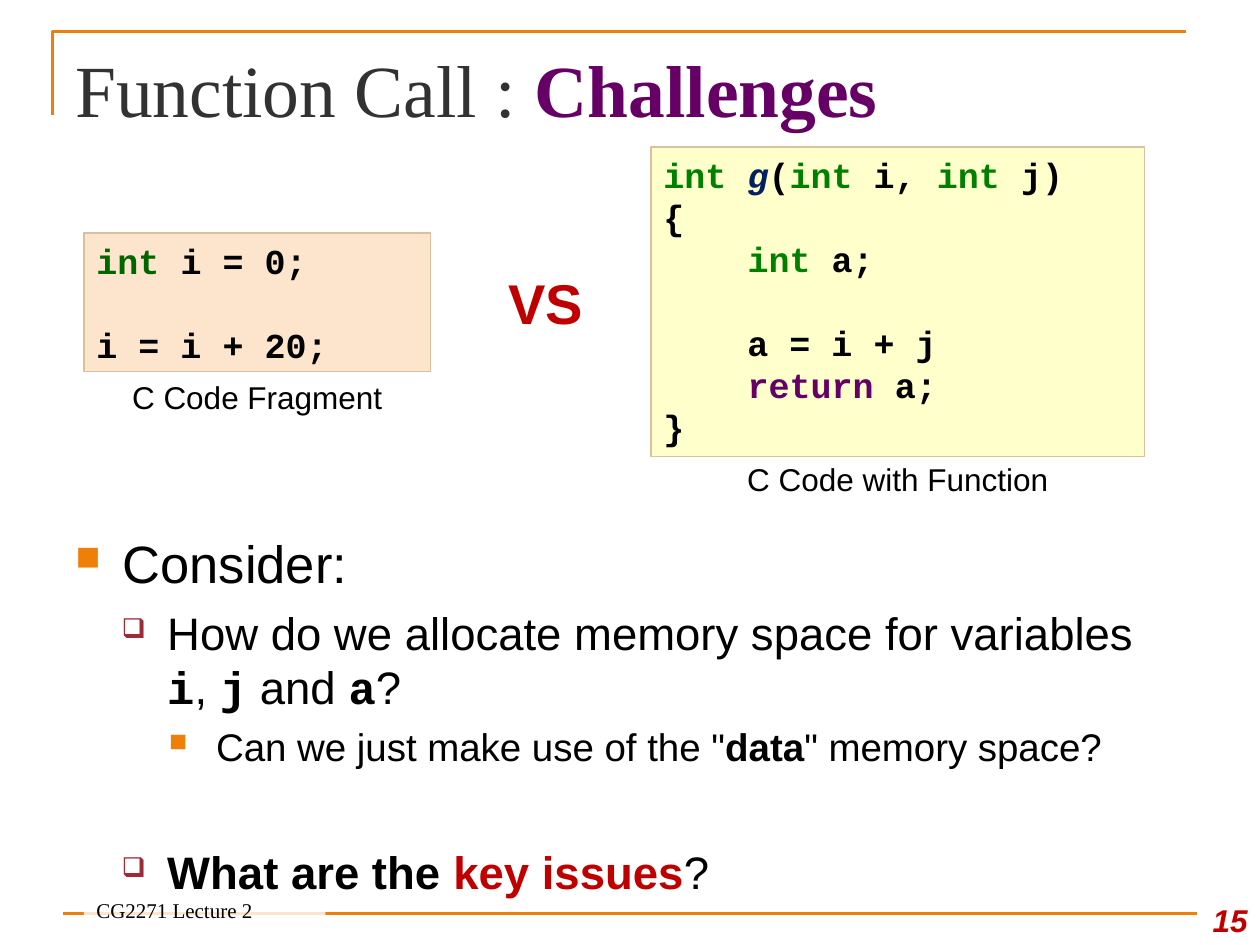
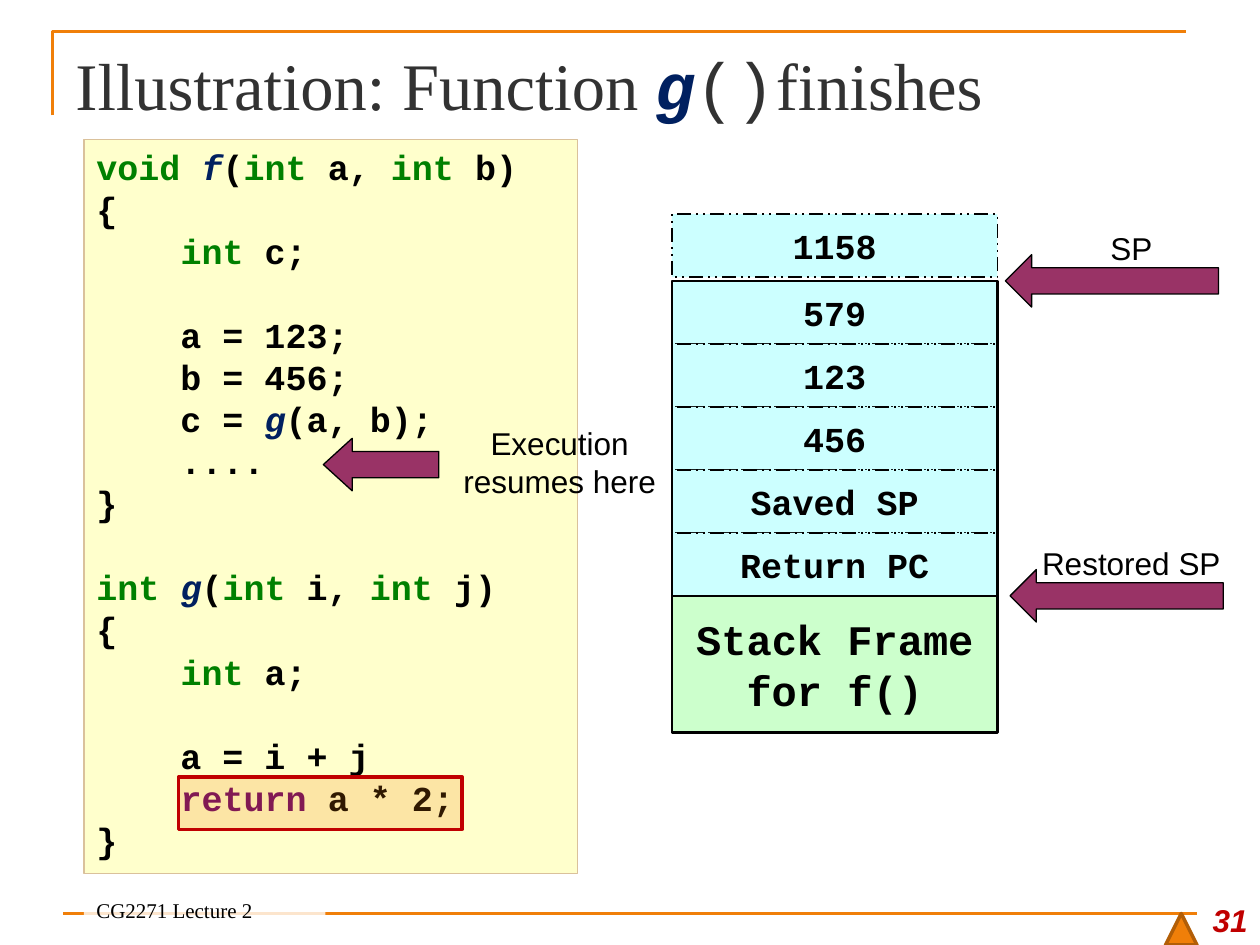
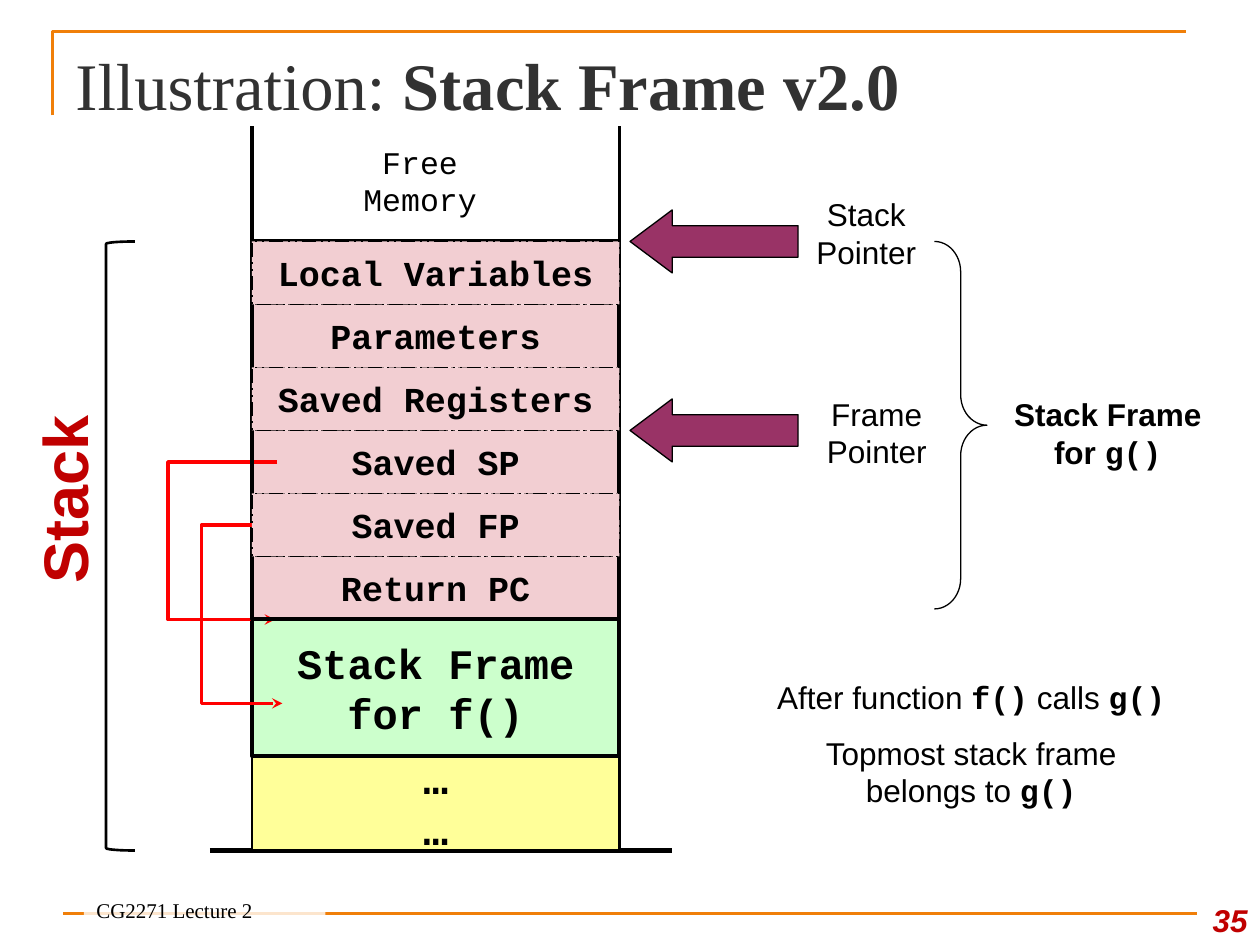
from dataclasses import dataclass
from typing import NamedTuple

from lxml.etree import SubElement
from pptx import Presentation
from pptx.dml.color import RGBColor
from pptx.enum.dml import MSO_LINE
from pptx.enum.shapes import MSO_CONNECTOR, MSO_SHAPE
from pptx.enum.text import MSO_ANCHOR, PP_ALIGN
from pptx.oxml.ns import qn
from pptx.util import Emu, Pt

COLUMNS, ROWS = 120, 90
UNIT = 76200  # one grid step is a twelfth of an inch

ORANGE, RED, BLACK, WHITE = "F07F09", "C00000", "000000", "FFFFFF"
CRIMSON, PURPLE, NAVY, GREEN = "9F2936", "660066", "002060", "008000"
TAN, CREAM, PEACH, PLUM = "DAC19B", "FFFFCC", "FDE5CD", "993366"
SKY, MINT, PINK, YELLOW = "CCFFFF", "CCFFCC", "F2CED2", "FFFF99"

MONO = {"name": "Courier New", "bold": True}
BOLD = {"bold": True}
TITLE = {"name": "Times New Roman", "color": "323232"}
LABEL = {"name": "Arial", "size": 18, "color": BLACK}
CODE = {**MONO, "size": 20, "color": BLACK}
FRAME_TEXT = {**CODE, "size": 24}
KEYWORD = {"color": GREEN}
FUNCTION = {"color": NAVY, "italic": True}
SYNTAX = {"int": KEYWORD, "void": KEYWORD, "return": {"color": PURPLE},
          "f": FUNCTION, "g": FUNCTION}
CODE_LINE = 24
FRAME_F = "Stack Frame\vfor f()"


class Box(NamedTuple):
    left: float
    top: float
    width: float
    height: float


class Run(NamedTuple):
    text: str
    format: dict = {}


class Line(NamedTuple):
    color: str
    width: float
    dash: MSO_LINE | None = None


class Bullet(NamedTuple):
    character: str
    color: str
    percent: int
    indent: float
    hanging: float
    size: int


@dataclass
class Paragraph:
    runs: list[Run]
    space_before: float = 0
    bullet: Bullet | None = None


@dataclass
class Pointer:
    arrow: Box
    label_box: Box
    label: str
    head: float = 0.5


@dataclass
class Stack:
    """A column of equal cells, given by its top left corner."""
    left: float
    top: float
    width: float
    color: str
    cell_height: float = 6

    def cell(self, index: int, count: int = 1) -> Box:
        return Box(self.left, self.top + index * self.cell_height,
                   self.width, count * self.cell_height)


BULLETS = [Bullet("■", ORANGE, 65, 4.5, 4.5, 30),
           Bullet("❑", CRIMSON, 60, 8.75, 4.35, 26),
           Bullet("■", ORANGE, 65, 13.4, 4.5, 22)]
THIN = Line(BLACK, 0.75)
MEDIUM = Line(BLACK, 1.5)
HEAVY = Line(BLACK, 2.25)
DASHED = Line(BLACK, 1, MSO_LINE.DASH_DOT_DOT)
RULE = Line(ORANGE, 1.5)
CODE_BORDER = Line(TAN, 0.75)
LINK = Line("FF0000", 2)


def grid(steps: float) -> Emu:
    return Emu(round(steps * UNIT))


def place(box: Box) -> list[Emu]:
    return [grid(value) for value in box]


def color(value: str) -> RGBColor:
    return RGBColor.from_string(value)


def set_font(font, values: dict) -> None:
    for key, value in values.items():
        if key == "color":
            font.color.rgb = color(value)
        else:
            setattr(font, key, Pt(value) if key == "size" else value)


def set_line(line, style: Line | None) -> None:
    if style is None:
        line.fill.background()
        return
    line.color.rgb = color(style.color)
    line.width = Pt(style.width)
    if style.dash:
        line.dash_style = style.dash


def set_fill(shape, fill: str | None, opacity: int = 100) -> None:
    if fill is None:
        shape.fill.background()
        return
    shape.fill.solid()
    shape.fill.fore_color.rgb = color(fill)
    if opacity < 100:
        value = shape._element.spPr.find(".//" + qn("a:srgbClr"))
        SubElement(value, qn("a:alpha"), val=str(opacity * 1000))


def set_bullet(paragraph, bullet: Bullet) -> None:
    properties = paragraph._p.get_or_add_pPr()
    properties.set("marL", str(grid(bullet.indent)))
    properties.set("indent", str(grid(-bullet.hanging)))
    bullet_color = SubElement(properties, qn("a:buClr"))
    SubElement(bullet_color, qn("a:srgbClr"), val=bullet.color)
    SubElement(properties, qn("a:buSzPct"), val=str(bullet.percent * 1000))
    SubElement(properties, qn("a:buChar"), char=bullet.character)


def write(shape, paragraphs: list[Paragraph], base: dict,
          align=PP_ALIGN.LEFT, anchor=MSO_ANCHOR.TOP, wrap: bool = True) -> None:
    frame = shape.text_frame
    frame.word_wrap = wrap
    frame.vertical_anchor = anchor
    for index, content in enumerate(paragraphs):
        paragraph = frame.add_paragraph() if index else frame.paragraphs[0]
        paragraph.alignment = align
        format_values = dict(base)
        if content.bullet:
            set_bullet(paragraph, content.bullet)
            format_values["size"] = content.bullet.size
        if content.space_before:
            paragraph.space_before = Pt(content.space_before)
        for part in content.runs:
            for line_index, text in enumerate(part.text.split("\v")):
                if line_index:
                    paragraph.add_line_break()
                run = paragraph.add_run()
                run.text = text
                set_font(run.font, {**format_values, **part.format})


def plain(*texts: str) -> list[Paragraph]:
    return [Paragraph([Run(text)]) for text in texts]


def add_text(slide, box: Box, paragraphs: list[Paragraph], base: dict,
             align=PP_ALIGN.CENTER, anchor=MSO_ANCHOR.TOP):
    shape = slide.shapes.add_textbox(*place(box))
    write(shape, paragraphs, base, align, anchor)
    return shape


def add_shape(slide, kind, box: Box, fill: str | None = None,
              line: Line | None = None, opacity: int = 100,
              adjustments: tuple[float, ...] = ()):
    shape = slide.shapes.add_shape(kind, *place(box))
    shape.shadow.inherit = False
    set_fill(shape, fill, opacity)
    set_line(shape.line, line)
    for index, value in enumerate(adjustments):
        shape.adjustments[index] = value
    return shape


def add_line(slide, start: tuple, end: tuple, style: Line) -> None:
    connector = slide.shapes.add_connector(
        MSO_CONNECTOR.STRAIGHT, *place((*start, *end)))
    set_line(connector.line, style)
    SubElement(connector._element.spPr, qn("a:effectLst"))


def add_path(slide, points: list[tuple], style: Line, arrow: bool = False) -> None:
    """Draw an open outline through the points."""
    start, *others = [tuple(place(point)) for point in points]
    builder = slide.shapes.build_freeform(*start)
    builder.add_line_segments(others, close=False)
    shape = builder.convert_to_shape()
    shape.shadow.inherit = False
    set_fill(shape, None)
    set_line(shape.line, style)
    if arrow:
        SubElement(shape.line._get_or_add_ln(), qn("a:tailEnd"), type="stealth")


def add_cell(slide, box: Box, fill: str, line: Line, *texts: str,
             base: dict = CODE) -> None:
    cell = add_shape(slide, MSO_SHAPE.RECTANGLE, box, fill, line)
    write(cell, plain(*texts), base, PP_ALIGN.CENTER, MSO_ANCHOR.MIDDLE, wrap=False)


def add_stack_cells(slide, stack: Stack, cells: dict[int, str]) -> None:
    for index, text in cells.items():
        add_cell(slide, stack.cell(index), stack.color, DASHED, text)


def add_pointer(slide, pointer: Pointer) -> None:
    add_shape(slide, MSO_SHAPE.LEFT_ARROW, pointer.arrow, PLUM, THIN,
              adjustments=(0.5, pointer.head))
    add_text(slide, pointer.label_box, plain(pointer.label), LABEL)


def add_code(slide, box: Box, source: str, fill: str = CREAM,
             syntax: dict = SYNTAX) -> None:
    """Show code in which bars enclose the highlighted words."""
    paragraphs, gap = [], 0
    for text in source.strip().splitlines():
        if not text:
            gap += CODE_LINE
            continue
        runs = [Run(part, syntax.get(part, {})) for part in text.split("|") if part]
        paragraphs.append(Paragraph(runs, gap))
        gap = 0
    shape = add_shape(slide, MSO_SHAPE.RECTANGLE, box, fill, CODE_BORDER)
    write(shape, paragraphs, CODE)


def start_slide(presentation, title: list[Run], title_size: int):
    slide = presentation.slides.add_slide(presentation.slide_layouts[6])
    add_path(slide, [(5, 11), (5, 3), (113, 3)], RULE)
    add_line(slide, (6, 87), (114, 87), RULE)
    add_text(slide, Box(6, 3.6, 108, 9.4), [Paragraph(title)],
             {**TITLE, "size": title_size}, PP_ALIGN.LEFT)
    return slide


def add_footer(slide, number: int) -> None:
    add_text(slide, Box(113, 84, 7, 6), plain(str(number)),
             {**LABEL, "color": RED, "bold": True, "italic": True},
             PP_ALIGN.RIGHT, MSO_ANCHOR.BOTTOM)
    band = add_shape(slide, MSO_SHAPE.RECTANGLE, Box(8, 85.5, 23, 3), WHITE, opacity=80)
    write(band, plain("CG2271 Lecture 2"), {**TITLE, "size": 12, "color": BLACK},
          anchor=MSO_ANCHOR.BOTTOM)


FRAGMENT = """
|int| i = 0;

i = i + 20;
"""

FUNCTION_G = """
|int| |g|(|int| i, |int| j)
{
    |int| a;

    a = i + j
    |return| a;
}
"""

FUNCTION_F = """
|void| |f|(|int| a, |int| b)
{
    |int| c;

    a = 123;
    b = 456;
    c = |g|(a, b);
    ....
}

"""


def build_challenges(presentation) -> None:
    slide = start_slide(presentation, [
        Run("Function Call : "), Run("Challenges", {"color": PURPLE, "bold": True})], 42)
    level_one, level_two, level_three = BULLETS
    add_text(slide, Box(6, 50, 108, 35), [
        Paragraph([Run("Consider:")], bullet=level_one),
        Paragraph([Run("How do we allocate memory space for variables "),
                   Run("i", MONO), Run(", "), Run("j", MONO), Run(" and "),
                   Run("a", MONO), Run("?")], 6, level_two),
        Paragraph([Run('Can we just make use of the "'), Run("data", BOLD),
                   Run('" memory space?')], 5, level_three),
        Paragraph([Run("What are the ", BOLD),
                   Run("key issues", {"bold": True, "color": RED}),
                   Run("?")], 43, level_two),
    ], LABEL, PP_ALIGN.LEFT)
    add_code(slide, Box(8, 22.2, 33, 13.2), FRAGMENT, PEACH, {"int": {"color": "006600"}})
    add_text(slide, Box(8, 35.4, 33, 4.8), plain("C Code Fragment"), LABEL)
    add_code(slide, Box(62, 14, 47, 29.5), FUNCTION_G)
    add_text(slide, Box(62, 43.2, 47, 4.8), plain("C Code with Function"), LABEL)
    add_text(slide, Box(45, 25, 14, 7.7), plain("VS"),
             {**LABEL, "size": 32, "color": RED, "bold": True})
    add_footer(slide, 15)


def build_function_finishes(presentation) -> None:
    slide = start_slide(presentation, [
        Run("Illustration: Function "), Run("g", {**MONO, **FUNCTION}),
        Run("()", {"name": "Courier New"}), Run("finishes")], 38)
    stack = Stack(64, 26.76, 31, SKY)
    add_cell(slide, Box(64, 20.4, 31, 6), SKY, DASHED, "1158")
    add_code(slide, Box(8, 13.3, 47, 69.9),
             FUNCTION_F + FUNCTION_G.strip().replace("a;\n}", "a * 2;\n}"))
    add_cell(slide, Box(64, 56.76, 31, 13), MINT, MEDIUM, FRAME_F, base=FRAME_TEXT)
    add_stack_cells(slide, stack, dict(enumerate(
        ["579", "123", "456", "Saved SP", "Return PC"])))
    add_shape(slide, MSO_SHAPE.RECTANGLE, stack.cell(0, 5), line=MEDIUM)
    add_shape(slide, MSO_SHAPE.RECTANGLE, Box(17, 74, 27, 5), ORANGE, Line(RED, 2), 20)
    for pointer in (
        Pointer(Box(96.2, 54.25, 20.3, 5), Box(98, 51.25, 19.5, 4.8), "Restored SP"),
        Pointer(Box(30.8, 41.75, 11, 5), Box(42.8, 39.8, 21, 8.4),
                "Execution resumes here", 0.55),
        Pointer(Box(95.75, 24.25, 20.3, 5), Box(98.5, 21.25, 18.5, 4.8), "SP"),
    ):
        add_pointer(slide, pointer)
    add_shape(slide, MSO_SHAPE.ISOSCELES_TRIANGLE, Box(111, 87, 3, 3), ORANGE,
              Line("B25E07", 2))
    add_footer(slide, 31)


def build_stack_frame(presentation) -> None:
    slide = start_slide(presentation, [
        Run("Illustration: "), Run("Stack Frame v2.0", BOLD)], 38)
    stack = Stack(24, 23, 35, PINK)
    add_line(slide, (20, 81), (64, 81), Line(BLACK, 3))
    add_cell(slide, Box(24, 72, 35, 9), YELLOW, MEDIUM, "…", "…", base=FRAME_TEXT)
    add_cell(slide, Box(24, 59, 35, 13), MINT, HEAVY, FRAME_F, base=FRAME_TEXT)
    add_stack_cells(slide, stack, {5: "Return PC", 3: "Saved SP", 1: "Parameters"})
    add_shape(slide, MSO_SHAPE.RIGHT_BRACE, Box(89, 23, 5, 35), line=THIN,
              adjustments=(0.58, 0.5))
    add_text(slide, Box(95, 37, 21, 8.5), [Paragraph(
        [Run("Stack Frame for ", BOLD), Run("g()", MONO)])], LABEL)
    add_path(slide, [(26.4, 44), (16, 44), (16, 59), (26.2, 59)], LINK, arrow=True)
    for wall in (stack.left, stack.left + stack.width):
        add_line(slide, (wall, 23), (wall, 12), Line(BLACK, 2))
    add_text(slide, Box(30, 13, 20, 8.4), plain("Free Memory"),
             {**LABEL, "name": "Courier New"})
    for pointer in (
        Pointer(Box(60, 20, 16, 6), Box(76, 18, 13, 8.4), "Stack Pointer", 0.67),
        Pointer(Box(60, 38, 16, 6), Box(77, 37, 13, 8.4), "Frame Pointer", 0.67),
    ):
        add_pointer(slide, pointer)
    add_text(slide, Box(72, 64, 41, 13.8), [
        Paragraph([Run("After function "), Run("f()", MONO), Run(" calls "),
                   Run("g()", MONO)]),
        Paragraph([Run("Topmost stack frame belongs to "), Run("g()", MONO)], 10),
    ], LABEL)
    add_shape(slide, MSO_SHAPE.RECTANGLE, stack.cell(0, 6), line=HEAVY)
    side_label = add_text(slide, Box(-4.55, 41.9, 21.1, 11.3), plain("Stack"),
                          {**LABEL, "size": 36, "color": RED, "bold": True},
                          anchor=MSO_ANCHOR.MIDDLE)
    side_label.rotation = 270
    add_shape(slide, MSO_SHAPE.LEFT_BRACKET, Box(10.1, 23, 2.75, 58), line=MEDIUM)
    add_path(slide, [(27, 50), (19.2, 50), (19.2, 67), (26.9, 67)], LINK, arrow=True)
    add_stack_cells(slide, stack, {4: "Saved FP", 0: "Local Variables",
                                   2: "Saved Registers"})
    add_footer(slide, 35)


def main() -> None:
    presentation = Presentation()
    presentation.slide_width = grid(COLUMNS)
    presentation.slide_height = grid(ROWS)
    for build in (build_challenges, build_function_finishes, build_stack_frame):
        build(presentation)
    presentation.save("out.pptx")


if __name__ == "__main__":
    main()
